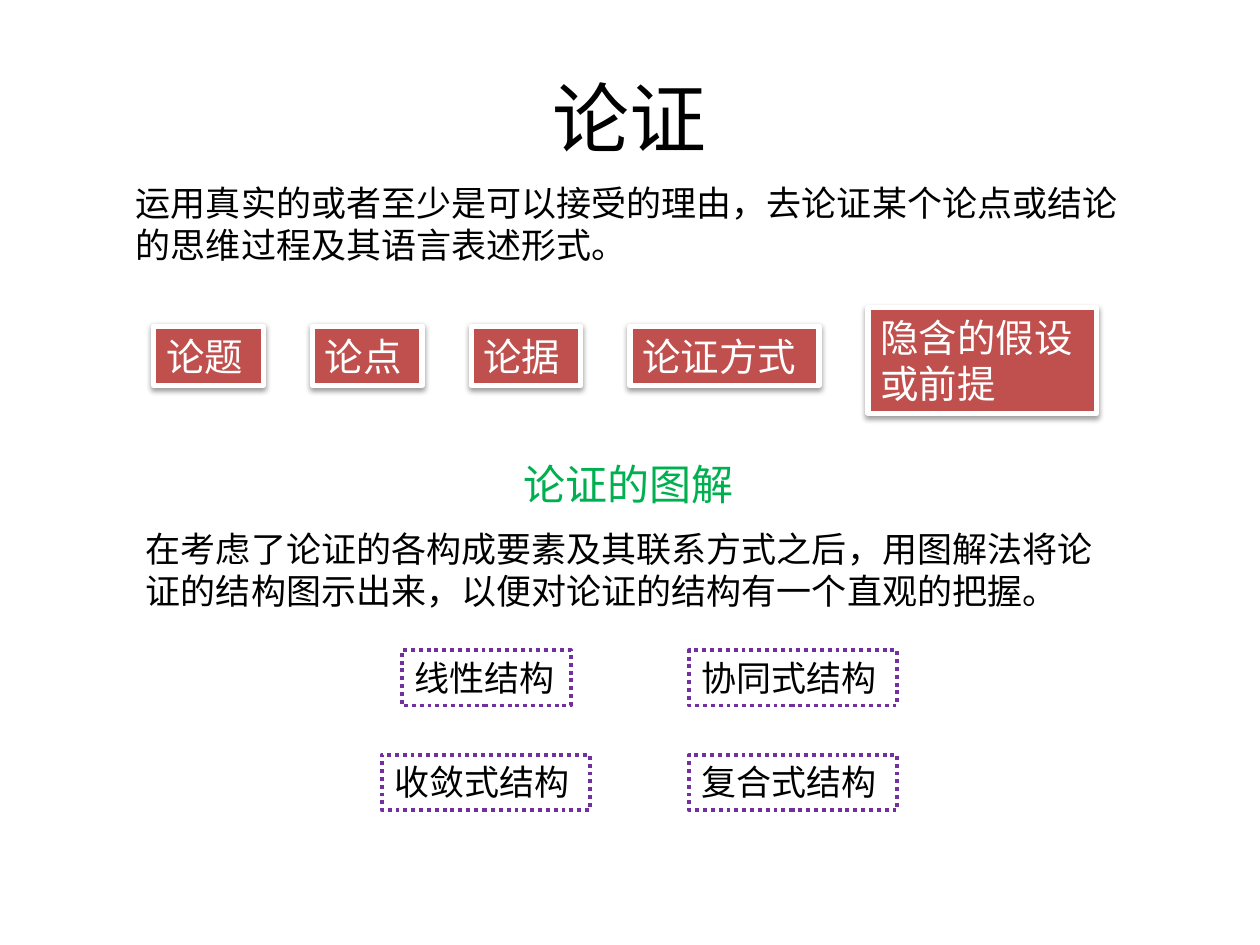
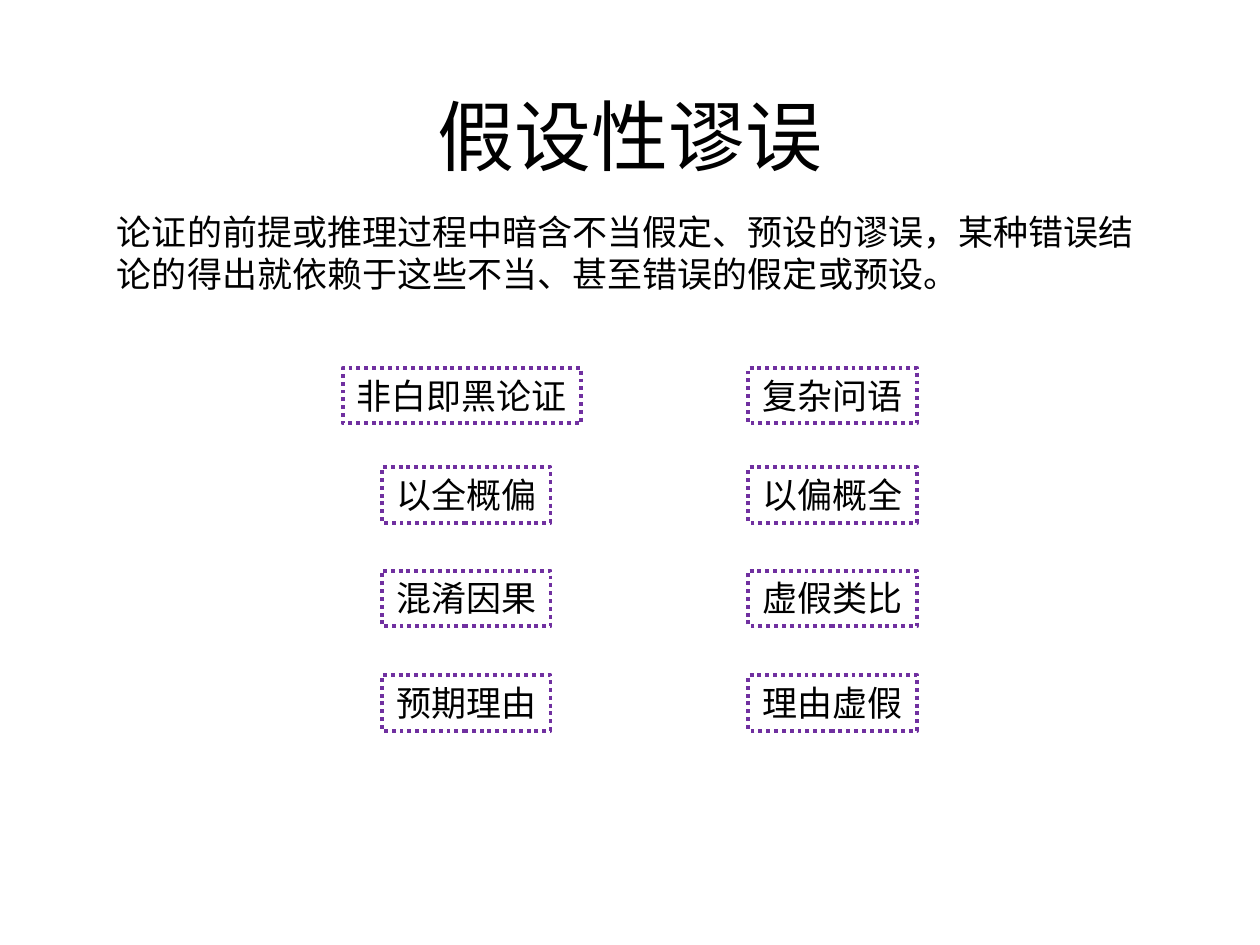
from lxml.etree import SubElement
from pptx import Presentation
from pptx.dml.color import RGBColor
from pptx.enum.dml import MSO_LINE
from pptx.enum.shapes import MSO_SHAPE
from pptx.enum.text import MSO_ANCHOR, PP_ALIGN
from pptx.oxml.ns import qn
from pptx.util import Inches, Pt

BLACK = RGBColor(0x00, 0x00, 0x00)
WHITE = RGBColor(0xFF, 0xFF, 0xFF)
RED = RGBColor(0xC0, 0x50, 0x4D)
GREEN = RGBColor(0x00, 0xB0, 0x50)
PURPLE = RGBColor(0x70, 0x30, 0xA0)
HEAD_FONT = "Noto Sans CJK JP"
BODY_FONT = "Noto Sans CJK SC"
CHIP_WIDTHS = {4: 1.34, 5: 1.65, 6: 1.89}


def write(shape, text, size, color=BLACK, font=BODY_FONT, align=PP_ALIGN.LEFT):
    """Fill a shape with wrapped text in one style."""
    frame = shape.text_frame
    frame.word_wrap = True
    frame.text = text
    for par in frame.paragraphs:
        par.alignment = align
        for run in par.runs:
            run.font.size = Pt(size)
            run.font.name = font
            run.font.color.rgb = color
            SubElement(run._r.get_or_add_rPr(), qn("a:ea"), typeface=font)


def add_text(slide, box, text, size=20, **style):
    """Add a text box at (left, top, width, height)."""
    shape = slide.shapes.add_textbox(*map(Inches, box))
    write(shape, text, size, **style)
    return shape


def add_title(slide, top, text):
    """Add the centred slide title."""
    shape = add_text(slide, (0.5, top, 9, 1.25), text, 44,
                     font=HEAD_FONT, align=PP_ALIGN.CENTER)
    shape.text_frame.vertical_anchor = MSO_ANCHOR.MIDDLE


def add_rect(slide, box, line, weight):
    """Add a top-anchored rectangle with an outline."""
    shape = slide.shapes.add_shape(MSO_SHAPE.RECTANGLE, *map(Inches, box))
    shape.shadow.inherit = False
    shape.line.color.rgb = line
    shape.line.width = Pt(weight)
    shape.text_frame.vertical_anchor = MSO_ANCHOR.TOP
    return shape


def add_shadow(shape):
    """Give a shape a soft shadow below it."""
    effects = shape._element.spPr.find(qn("a:effectLst"))
    outer = SubElement(effects, qn("a:outerShdw"), blurRad="40000",
                       dist="20000", dir="5400000", rotWithShape="0")
    color = SubElement(outer, qn("a:srgbClr"), val=str(BLACK))
    SubElement(color, qn("a:alpha"), val="38000")


def add_parts(slide, left, top, labels, gap=0.39):
    """Add a row of red boxes, each as wide as its longest line."""
    for label in labels:
        lines = label.split("\n")
        width = 0.24 + 0.315 * max(map(len, lines))
        height, lift = (0.47, 0) if len(lines) == 1 else (0.84, 0.15)
        shape = add_rect(slide, (left, top - lift, width, height), WHITE, 3)
        shape.fill.solid()
        shape.fill.fore_color.rgb = RED
        add_shadow(shape)
        write(shape, label, 22, WHITE)
        left += width + gap


def add_chips(slide, tops, columns, align):
    """Add columns of dotted boxes, each label with its left edge."""
    for column in columns:
        for top, (left, label) in zip(tops, column):
            box = (left, top, CHIP_WIDTHS[len(label)], 0.44)
            shape = add_rect(slide, box, PURPLE, 2.25)
            shape.line.dash_style = MSO_LINE.ROUND_DOT
            shape.fill.background()
            write(shape, label, 20, align=align)


def build_proof(slide):
    """Build the slide on argument and its diagrams."""
    add_title(slide, 0.3, "论证")
    add_text(slide, (0.98, 1.39, 8.11, 0.77),
             "运用真实的或者至少是可以接受的理由，去论证某个论点或结论"
             "的思维过程及其语言表述形式。")
    add_parts(slide, 1.22, 2.59,
              ["论题", "论点", "论据", "论证方式", "隐含的假设\n或前提"])
    add_text(slide, (4.06, 3.59, 2.99, 0.5), "论证的图解", 24,
             color=GREEN, font=HEAD_FONT)
    add_text(slide, (1.06, 4.14, 7.8, 0.77),
             "在考虑了论证的各构成要素及其联系方式之后，用图解法将论"
             "证的结构图示出来，以便对论证的结构有一个直观的把握。")
    add_chips(slide, (5.16, 5.99), [
        [(3.19, "线性结构"), (3.03, "收敛式结构")],
        [(5.47, "协同式结构"), (5.47, "复合式结构")],
    ], PP_ALIGN.LEFT)


def build_flaws(slide):
    """Build the slide on fallacies of assumption."""
    add_title(slide, 0.44, "假设性谬误")
    add_text(slide, (0.83, 1.62, 8.5, 0.77),
             "论证的前提或推理过程中暗含不当假定、预设的谬误，某种错误结"
             "论的得出就依赖于这些不当、甚至错误的假定或预设。")
    right = ["复杂问语", "以偏概全", "虚假类比", "理由虚假"]
    add_chips(slide, (2.92, 3.71, 4.53, 5.36), [
        [(2.72, "非白即黑论证"), (3.03, "以全概偏"),
         (3.03, "混淆因果"), (3.03, "预期理由")],
        [(5.94, label) for label in right],
    ], PP_ALIGN.CENTER)


def main():
    """Build and save the deck."""
    deck = Presentation()
    deck.slide_width, deck.slide_height = Inches(10), Inches(7.5)
    for build in (build_proof, build_flaws):
        build(deck.slides.add_slide(deck.slide_layouts[6]))
    deck.save("out.pptx")


if __name__ == "__main__":
    main()
